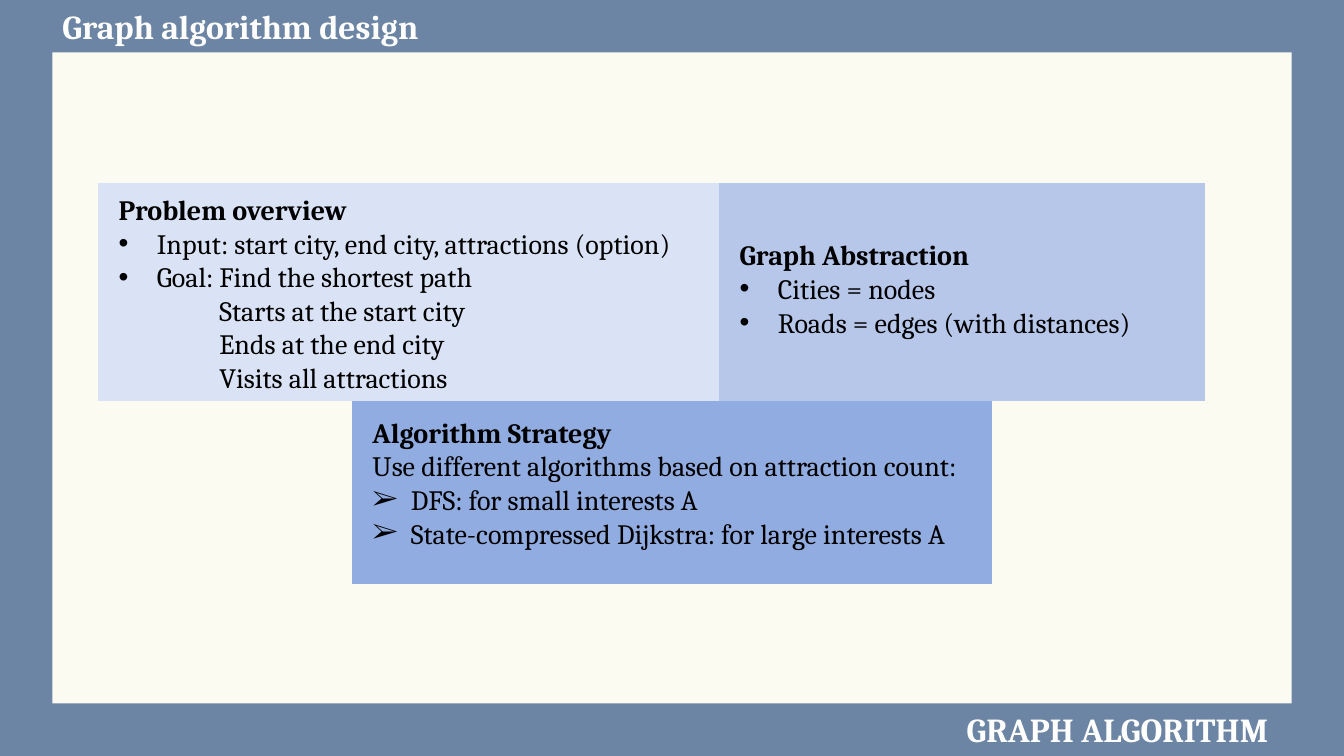
import pptx
import pptx.dml.color
import pptx.enum.shapes
import pptx.enum.text
import pptx.oxml
import pptx.oxml.ns
import pptx.util
from lxml import etree

RGBColor = pptx.dml.color.RGBColor
SLATE = RGBColor(0x6C, 0x85, 0xA4)
CREAM = RGBColor(0xFC, 0xFB, 0xF2)
PALE_BLUE = RGBColor(0xDA, 0xE3, 0xF5)
SOFT_BLUE = RGBColor(0xB6, 0xC7, 0xEA)
MID_BLUE = RGBColor(0x91, 0xAC, 0xE0)
WHITE = RGBColor(0xFF, 0xFF, 0xFF)
BLACK = RGBColor(0x00, 0x00, 0x00)

WIDTH, HEIGHT = pptx.util.Inches(13.33), pptx.util.Inches(7.5)
FONT = "Cambria"
INSET = 0.8
MARGIN = 3.9
HANGING = 0.38
SHAPES = pptx.enum.shapes.MSO_SHAPE


def area(left, top, width, height):
    """Turn percentages of the slide into left, top, width and height."""
    return (round(WIDTH * left / 100), round(HEIGHT * top / 100),
            round(WIDTH * width / 100), round(HEIGHT * height / 100))


def style(paragraph, size, color, bold):
    """Format every run of a paragraph."""
    for run in paragraph.runs:
        run.font.name = FONT
        run.font.size = pptx.util.Pt(size)
        run.font.bold = bold
        run.font.color.rgb = color


def indent(paragraph, left, hanging=0, bullet=None):
    """Set a paragraph's indents and its bullet, if any."""
    properties = paragraph._p.get_or_add_pPr()
    properties.set("marL", str(pptx.util.Inches(left)))
    properties.set("indent", str(-pptx.util.Inches(hanging)))
    if bullet:
        font = etree.SubElement(properties, pptx.oxml.ns.qn("a:buFont"))
        font.set("typeface", "Arial" if bullet == "•" else "Wingdings")
        if bullet == "➢":
            font.set("typeface", FONT)
        mark = etree.SubElement(properties, pptx.oxml.ns.qn("a:buChar"))
        mark.set("char", bullet)


def add_block(slide, preset, color, bounds):
    """Add a plain filled block without outline."""
    block = slide.shapes.add_shape(preset, *area(*bounds))
    block.shadow.inherit = False
    block.fill.solid()
    block.fill.fore_color.rgb = color
    block.line.fill.background()


def format_banner(banner, text):
    """Write a white heading on the slide's border."""
    frame = banner.text_frame
    frame.text = text
    frame.word_wrap = False
    frame.auto_size = pptx.enum.text.MSO_AUTO_SIZE.NONE
    frame.vertical_anchor = pptx.enum.text.MSO_ANCHOR.TOP
    heading = frame.paragraphs[0]
    heading.alignment = pptx.enum.text.PP_ALIGN.LEFT
    heading.line_spacing = 1.0
    style(heading, 24, WHITE, True)


def add_topic(slide, color, block, text, heading, items):
    """Add a coloured block with a bold heading and (mark, line) items."""
    add_block(slide, SHAPES.FLOWCHART_PROCESS, color, block)
    frame = slide.shapes.add_textbox(*area(block[0] + INSET, *text)).text_frame
    frame.word_wrap = True
    frame.text = "\n".join([heading] + [line for _, line in items])
    style(frame.paragraphs[0], 20, BLACK, True)
    for paragraph, (mark, _) in zip(frame.paragraphs[1:], items):
        if mark == "sub":
            paragraph.level = 2
            indent(paragraph, 1)
        elif mark:
            indent(paragraph, HANGING, HANGING, mark)
        style(paragraph, 20, BLACK, False)


def main():
    """Build the graph algorithm design slide."""
    deck = pptx.Presentation()
    deck.slide_width, deck.slide_height = WIDTH, HEIGHT
    slide = deck.slides.add_slide(deck.slide_layouts[5])
    slide.background.fill.solid()
    slide.background.fill.fore_color.rgb = SLATE

    title = slide.shapes.title
    title.left, title.top, title.width, title.height = area(MARGIN, 0.13, 28.88, 6.67)
    format_banner(title, "Graph algorithm design")
    add_block(slide, SHAPES.RECTANGLE, CREAM, (MARGIN, 6.93, 92.2, 86.13))
    section = slide.shapes.add_textbox(*area(71.19, 93.07, 24.91, 6.67))
    format_banner(section, "GRAPH ALGORITHM")

    add_topic(slide, PALE_BLUE, (7.28, 24.27, 46.21, 28.8), (24.8, 45.31, 28.27),
              "Problem overview", [
                  ("•", "Input: start city, end city, attractions (option)"),
                  ("•", "Goal: Find the shortest path"),
                  ("sub", "Starts at the start city"),
                  ("sub", "Ends at the end city"),
                  ("sub", "Visits all attractions")])
    add_topic(slide, SOFT_BLUE, (53.49, 24.27, 36.16, 28.8), (30.8, 35.33, 14.8),
              "Graph Abstraction", [
                  ("•", "Cities = nodes"),
                  ("•", "Roads = edges (with distances)")])
    add_topic(slide, MID_BLUE, (26.18, 53.07, 47.64, 24.13), (54.27, 47.64, 19.33),
              "Algorithm Strategy", [
                  (None, "Use different algorithms based on attraction count:"),
                  ("➢", "DFS: for small interests A"),
                  ("➢", "State-compressed Dijkstra: for large interests A")])
    deck.save("out.pptx")


if __name__ == "__main__":
    main()
